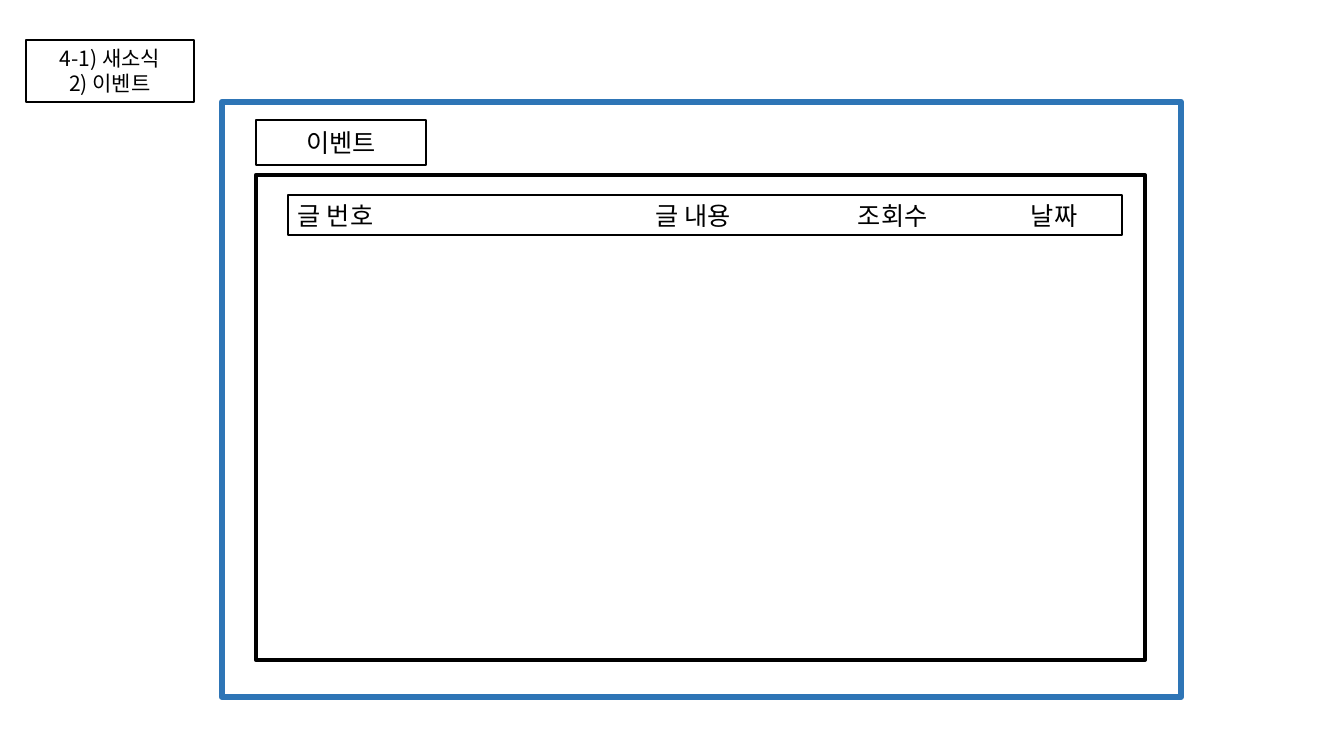
"""Build the event board wireframe slide."""
from dataclasses import dataclass

from lxml.etree import SubElement
from pptx import Presentation
from pptx.dml.color import RGBColor
from pptx.enum.shapes import MSO_SHAPE
from pptx.enum.text import MSO_ANCHOR, MSO_AUTO_SIZE, PP_ALIGN
from pptx.oxml.ns import qn
from pptx.shapes.autoshape import Shape
from pptx.slide import Slide
from pptx.util import Emu, Pt

FONT = "Noto Sans CJK KR"
BLACK = "000000"
WHITE = "FFFFFF"
BLUE = "2E75B6"


@dataclass(frozen=True)
class Panel:
    left: int
    top: int
    width: int
    height: int
    border: float = 1.5
    border_color: str = BLACK
    lines: tuple[str, ...] = ()
    size: int = 18
    align: PP_ALIGN = PP_ALIGN.CENTER
    tabs: tuple[int, ...] = ()


PAGE_LABEL = Panel(26, 40, 168, 62, lines=("4-1) 새소식", "2) 이벤트"), size=15)
PANELS = (
    Panel(222, 102, 959, 595, border=4.5, border_color=BLUE),
    Panel(256, 120, 170, 45, lines=("이벤트",)),
    Panel(256, 175, 889, 485, border=3),
    Panel(288, 195, 834, 40, lines=("글 번호\t글 내용\t조회수\t날짜",),
          align=PP_ALIGN.LEFT, tabs=(358, 560, 733)),
)


def px(length: int) -> Emu:
    return Emu(round(length * 914400 / 100.8))


def color(value: str) -> RGBColor:
    return RGBColor.from_string(value)


def write_lines(box: Shape, panel: Panel) -> None:
    frame = box.text_frame
    frame.word_wrap = True
    frame.auto_size = MSO_AUTO_SIZE.NONE
    frame.vertical_anchor = MSO_ANCHOR.MIDDLE
    frame.margin_left = frame.margin_right = px(10)
    frame.margin_top = frame.margin_bottom = px(5)
    for index, line in enumerate(panel.lines):
        para = frame.add_paragraph() if index else frame.paragraphs[0]
        para.alignment = panel.align
        para.space_before = Pt(0)
        if panel.tabs:
            stops = SubElement(para._p.get_or_add_pPr(), qn("a:tabLst"))
            for position in panel.tabs:
                SubElement(stops, qn("a:tab"), pos=str(px(position)), algn="l")
        span = para.add_run()
        span.text = line
        span.font.name = FONT
        span.font.size = Pt(panel.size)
        span.font.color.rgb = color(BLACK)
        SubElement(span._r.get_or_add_rPr(), qn("a:ea"), typeface=FONT)


def format_box(box: Shape, panel: Panel) -> None:
    box.left, box.top = px(panel.left), px(panel.top)
    box.width, box.height = px(panel.width), px(panel.height)
    box.fill.solid()
    box.fill.fore_color.rgb = color(WHITE)
    box.line.color.rgb = color(panel.border_color)
    box.line.width = Pt(panel.border)
    box.shadow.inherit = False
    if panel.lines:
        write_lines(box, panel)


def draw_panel(page: Slide, panel: Panel) -> None:
    box = page.shapes.add_shape(MSO_SHAPE.RECTANGLE, px(panel.left), px(panel.top),
                                px(panel.width), px(panel.height))
    format_box(box, panel)


def main() -> None:
    deck = Presentation()
    deck.slide_width, deck.slide_height = px(1344), px(756)
    page = deck.slides.add_slide(deck.slide_layouts.get_by_name("Title Only"))
    format_box(page.shapes.title, PAGE_LABEL)
    for panel in PANELS:
        draw_panel(page, panel)
    deck.save("out.pptx")


if __name__ == "__main__":
    main()
